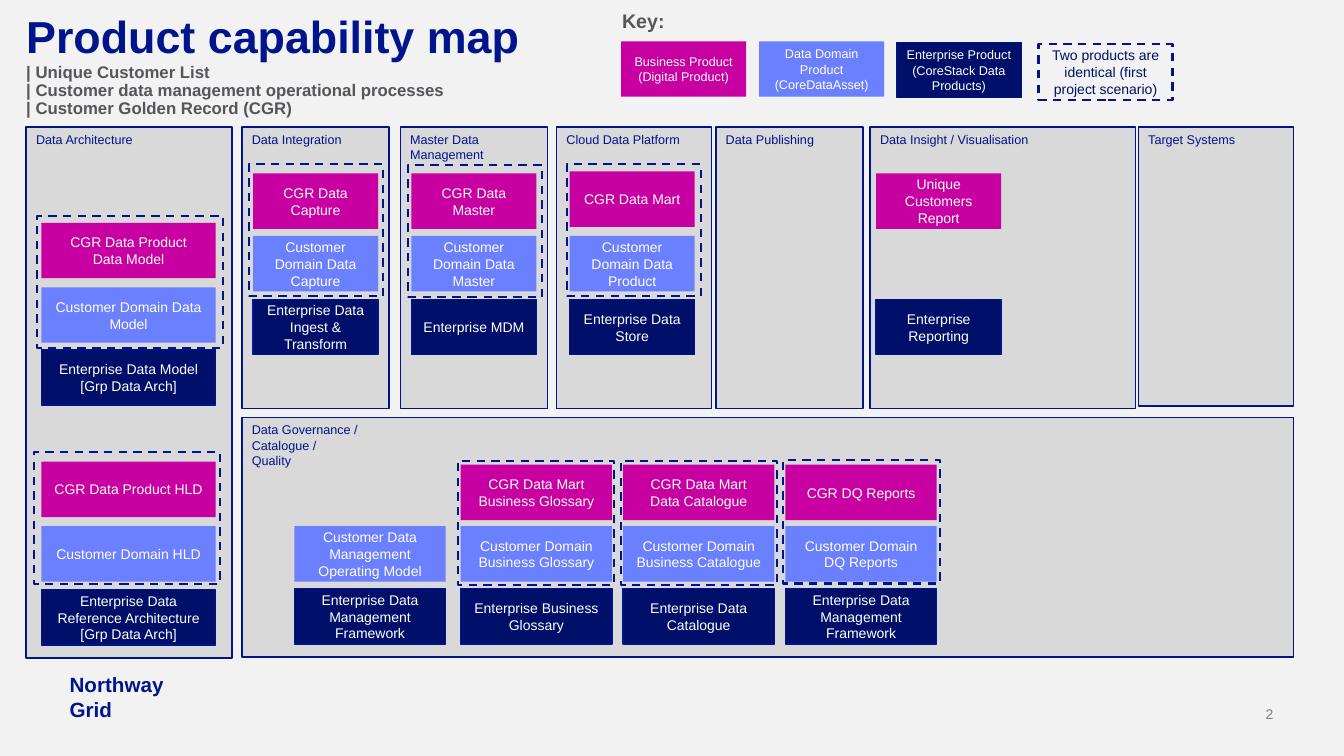
import pptx
import pptx.dml.color
import pptx.enum.dml
import pptx.enum.shapes
import pptx.enum.text
import pptx.util

Inches = pptx.util.Inches
Pt = pptx.util.Pt
RGBColor = pptx.dml.color.RGBColor
ALIGN = pptx.enum.text.PP_ALIGN
ANCHOR = pptx.enum.text.MSO_ANCHOR

NAVY = RGBColor(0x00, 0x14, 0x8C)
DARK = RGBColor(0x00, 0x0F, 0x69)
BLUE = RGBColor(0x6B, 0x80, 0xFF)
PINK = RGBColor(0xC8, 0x00, 0xA1)
PANEL = RGBColor(0xD9, 0xD9, 0xD9)
PAPER = RGBColor(0xF2, 0xF2, 0xF2)
SLATE = RGBColor(0x55, 0x55, 0x5A)
GREY = RGBColor(0x80, 0x80, 0x80)
WHITE = RGBColor(0xFF, 0xFF, 0xFF)

TITLE = "Product capability map"
TOPICS = [
    "| Unique Customer List",
    "| Customer data management operational processes",
    "| Customer Golden Record (CGR)",
]

# left, top, width, height, heading
PANELS = [
    (0.26, 1.26, 2.04, 5.27, "Data Architecture"),
    (2.4, 1.26, 1.46, 2.79, "Data Integration"),
    (3.97, 1.26, 1.46, 2.79, "Master Data Management"),
    (5.52, 1.26, 1.54, 2.79, "Cloud Data Platform"),
    (7.1, 1.26, 1.46, 2.79, "Data Publishing"),
    (8.63, 1.26, 2.63, 2.79, "Data Insight / Visualisation"),
    (11.29, 1.26, 1.54, 2.77, "Target Systems"),
    (2.4, 4.14, 10.43, 2.38, "Data Governance /\nCatalogue /\nQuality"),
]

KEYS = [
    (PINK, 6.16, 0.41, "Business Product\n(Digital Product)"),
    (BLUE, 7.53, 0.41, "Data Domain Product (CoreDataAsset)"),
    (DARK, 8.89, 0.42, "Enterprise Product (CoreStack Data Products)"),
]

LEVELS = (PINK, BLUE, DARK)
UPPER = (1.72, 2.34, 2.97)
LOWER = (4.61, 5.22, 5.84)

# left, width, tops, then business, domain and enterprise product
STACKS = [
    (0.41, 1.73, (2.21, 2.85, 3.47), "CGR Data Product Data Model",
     "Customer Domain Data Model", "Enterprise Data Model\n[Grp Data Arch]"),
    (0.41, 1.73, (4.58, 5.22, 5.85), "CGR Data Product HLD", "Customer Domain HLD",
     "Enterprise Data Reference Architecture [Grp Data Arch]"),
    (2.51, 1.24, UPPER, "CGR Data Capture", "Customer Domain Data Capture",
     "Enterprise Data Ingest & Transform"),
    (4.08, 1.24, UPPER, "CGR Data Master", "Customer Domain Data Master",
     "Enterprise MDM"),
    (5.65, 1.24, (1.7, 2.34, 2.97), "CGR Data Mart", "Customer Domain Data Product",
     "Enterprise Data Store"),
    (8.69, 1.24, UPPER, "Unique Customers Report", None, "Enterprise Reporting"),
    (2.92, 1.5, LOWER, None, "Customer Data Management Operating Model",
     "Enterprise Data Management Framework"),
    (4.57, 1.5, LOWER, "CGR Data Mart Business Glossary",
     "Customer Domain Business Glossary", "Enterprise Business Glossary"),
    (6.18, 1.5, LOWER, "CGR Data Mart Data Catalogue",
     "Customer Domain Business Catalogue", "Enterprise Data Catalogue"),
    (7.79, 1.5, LOWER, "CGR DQ Reports", "Customer Domain DQ Reports",
     "Enterprise Data Management Framework"),
]

# dashed outlines: left, top, width, height, text
FRAMES = [
    (0.37, 2.14, 1.84, 1.31, ""),
    (0.34, 4.48, 1.84, 1.31, ""),
    (2.47, 1.63, 1.33, 1.31, ""),
    (4.05, 1.64, 1.33, 1.31, ""),
    (5.62, 1.63, 1.33, 1.31, ""),
    (4.54, 4.57, 1.55, 1.23, ""),
    (6.16, 4.57, 1.55, 1.23, ""),
    (7.77, 4.56, 1.55, 1.23, ""),
    (10.3, 0.44, 1.33, 0.55,
     "Two products are identical (first project scenario)"),
]

# left, top, width, height, text, size, colour, bold, align, anchor
NOTES = [
    (6.17, 0.09, 0.74, 0.24, "Key:", 14, SLATE, True, ALIGN.LEFT, ANCHOR.TOP),
    (0.69, 6.91, 1.33, 0.25, "Northway Grid", 14.7, NAVY, True, ALIGN.LEFT, ANCHOR.BOTTOM),
    (12.21, 7, 0.42, 0.17, "2", 10, GREY, False, ALIGN.RIGHT, ANCHOR.BOTTOM),
]

BOX = 0.55


def style(font, size, color, bold=False):
    for name, value in {"name": "Arial", "size": Pt(size), "bold": bold}.items():
        setattr(font, name, value)
    font.color.rgb = color


def write(frame, text, size, color, bold=False, align=ALIGN.CENTER,
          anchor=ANCHOR.MIDDLE, pads=(0, 0)):
    across, down = map(Inches, pads)
    for name, value in {
        "text": text, "word_wrap": True, "vertical_anchor": anchor,
        "margin_left": across, "margin_right": across,
        "margin_top": down, "margin_bottom": down,
    }.items():
        setattr(frame, name, value)
    for para in frame.paragraphs:
        para.alignment = align
        style(para.font, size, color, bold)


def rect(slide, area, fill=None, line=None, width=1):
    shape = slide.shapes.add_shape(
        pptx.enum.shapes.MSO_SHAPE.RECTANGLE, *map(Inches, area))
    shape.shadow.inherit = False
    if fill is None:
        shape.fill.background()
    else:
        shape.fill.solid()
        shape.fill.fore_color.rgb = fill
    if line is None:
        shape.line.fill.background()
    else:
        shape.line.color.rgb = line
        shape.line.width = Pt(width)
    return shape


def tile(slide, fill, left, top, width, text, size):
    """Draw one product box in the style of its level."""
    dark = fill == DARK
    shape = rect(slide, (left, top, width, BOX), fill, NAVY if dark else None)
    write(shape.text_frame, text, size, WHITE,
          pads=(0.1, 0.05) if dark else (0.13, 0.07))


def head(slide):
    title = slide.shapes.title
    for name, value in zip(("left", "top", "width", "height"),
                           (0.26, 0.15, 11.96, 1.33)):
        setattr(title, name, Inches(value))
    frame = title.text_frame
    write(frame, "\n".join([TITLE] + TOPICS), 12, SLATE, True, ALIGN.LEFT, ANCHOR.TOP)
    frame.auto_size = pptx.enum.text.MSO_AUTO_SIZE.NONE
    for para in frame.paragraphs:
        para.line_spacing = 0.9
    style(frame.paragraphs[0].font, 32, NAVY, True)


def main():
    deck = pptx.Presentation()
    deck.slide_width, deck.slide_height = Inches(13.33), Inches(7.5)
    slide = deck.slides.add_slide(deck.slide_layouts[5])
    slide.background.fill.solid()
    slide.background.fill.fore_color.rgb = PAPER
    head(slide)

    for *area, text in PANELS:
        panel = rect(slide, area, PANEL, NAVY)
        write(panel.text_frame, text, 9, NAVY, align=ALIGN.LEFT,
              anchor=ANCHOR.TOP, pads=(0.1, 0.05))
    for fill, left, top, text in KEYS:
        tile(slide, fill, left, top, 1.24, text, 9)
    for left, width, tops, *names in STACKS:
        for fill, top, text in zip(LEVELS, tops, names):
            if text:
                tile(slide, fill, left, top, width, text, 10)
    for *area, text in FRAMES:
        shape = rect(slide, area, line=NAVY, width=1.5)
        shape.line.dash_style = pptx.enum.dml.MSO_LINE.DASH
        if text:
            write(shape.text_frame, text, 10, DARK, pads=(0.13, 0.07))
    for *area, text, size, color, bold, align, anchor in NOTES:
        note = slide.shapes.add_textbox(*map(Inches, area))
        write(note.text_frame, text, size, color, bold, align, anchor)

    deck.save("out.pptx")


if __name__ == "__main__":
    main()
